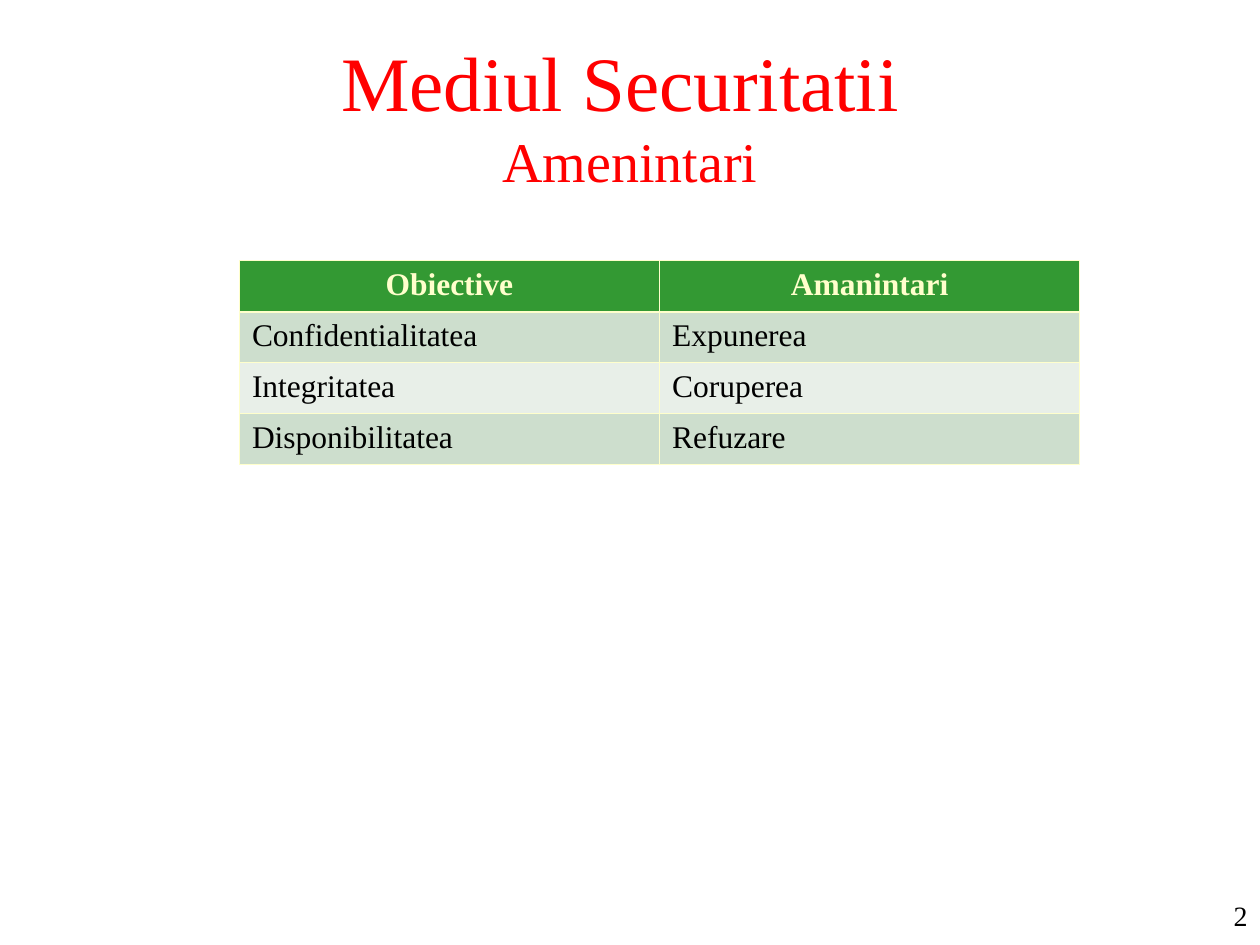
from pptx import Presentation
from pptx import util as u
from pptx.dml import color
from pptx.enum import text
from pptx.oxml import parse_xml
from pptx.oxml.ns import nsdecls

TITLE = [("Mediul Securitatii ", 44), ("Amenintari", 32)]
ROWS = [
    ("Obiective", "Amanintari"),
    ("Confidentialitatea", "Expunerea"),
    ("Integritatea", "Coruperea"),
    ("Disponibilitatea", "Refuzare"),
]
PAGE = "2"
FACE = "Times New Roman"
CREAM, GREEN, BANDS = "FFFFCC", "339933", ("E8EFE8", "CDDECD")
THIN, THICK = 0.45, 1.47


def paint(form, tone):
    form.rgb = color.RGBColor.from_string(tone)


def style(run, tone, **vals):
    for key, val in {"name": FACE, **vals}.items():
        setattr(run.font, key, val)
    paint(run.font.color, tone)


def place(shape, *box):
    for key, val in zip(("left", "top", "width", "height"), box):
        setattr(shape, key, u.Inches(val))


def edge(cell, side, width):
    cell._tc.get_or_add_tcPr().append(parse_xml(
        f'<a:{side} {nsdecls("a")} w="{u.Pt(width)}"><a:solidFill>'
        f'<a:srgbClr val="{CREAM}"/></a:solidFill></a:{side}>'))


def fill_cell(cell, word, row):
    head = row == 0
    para = cell.text_frame.paragraphs[0]
    para.alignment = text.PP_ALIGN.CENTER if head else text.PP_ALIGN.LEFT
    run = para.add_run()
    run.text = word
    style(run, CREAM if head else "000000", size=u.Pt(18), bold=head)
    for side in ("lnL", "lnR", "lnT", "lnB"):
        thick = (row, side) in ((0, "lnB"), (1, "lnT"))
        edge(cell, side, THICK if thick else THIN)
    cell.fill.solid()
    paint(cell.fill.fore_color, GREEN if head else BANDS[row % 2])


def main():
    deck = Presentation()
    deck.slide_width, deck.slide_height = u.Inches(10), u.Inches(7.5)
    slide = deck.slides.add_slide(deck.slide_layouts[5])

    title = slide.shapes.title
    place(title, 0.75, 0.28, 8.5, 1.25)
    frame = title.text_frame
    frame.auto_size = text.MSO_AUTO_SIZE.NONE
    frame.vertical_anchor = text.MSO_ANCHOR.MIDDLE
    para = frame.paragraphs[0]
    para.alignment = text.PP_ALIGN.CENTER
    for i, (words, size) in enumerate(TITLE):
        if i:
            para.add_line_break()
        run = para.add_run()
        run.text = words
        style(run, "FF0000", size=u.Pt(size))

    box = [u.Inches(n) for n in (1.9, 2.07, 6.67, 1.62)]
    table = slide.shapes.add_table(len(ROWS), len(ROWS[0]), *box).table
    for r, row in enumerate(ROWS):
        for c, word in enumerate(row):
            fill_cell(table.cell(r, c), word, r)

    note = slide.shapes.add_textbox(*[u.Inches(n) for n in (9.4, 7.08, 0.6, 0.42)])
    note.text_frame.word_wrap = True
    para = note.text_frame.paragraphs[0]
    para.alignment = text.PP_ALIGN.RIGHT
    run = para.add_run()
    run.text = PAGE
    style(run, "000000", size=u.Pt(16))

    deck.save("out.pptx")


if __name__ == "__main__":
    main()
